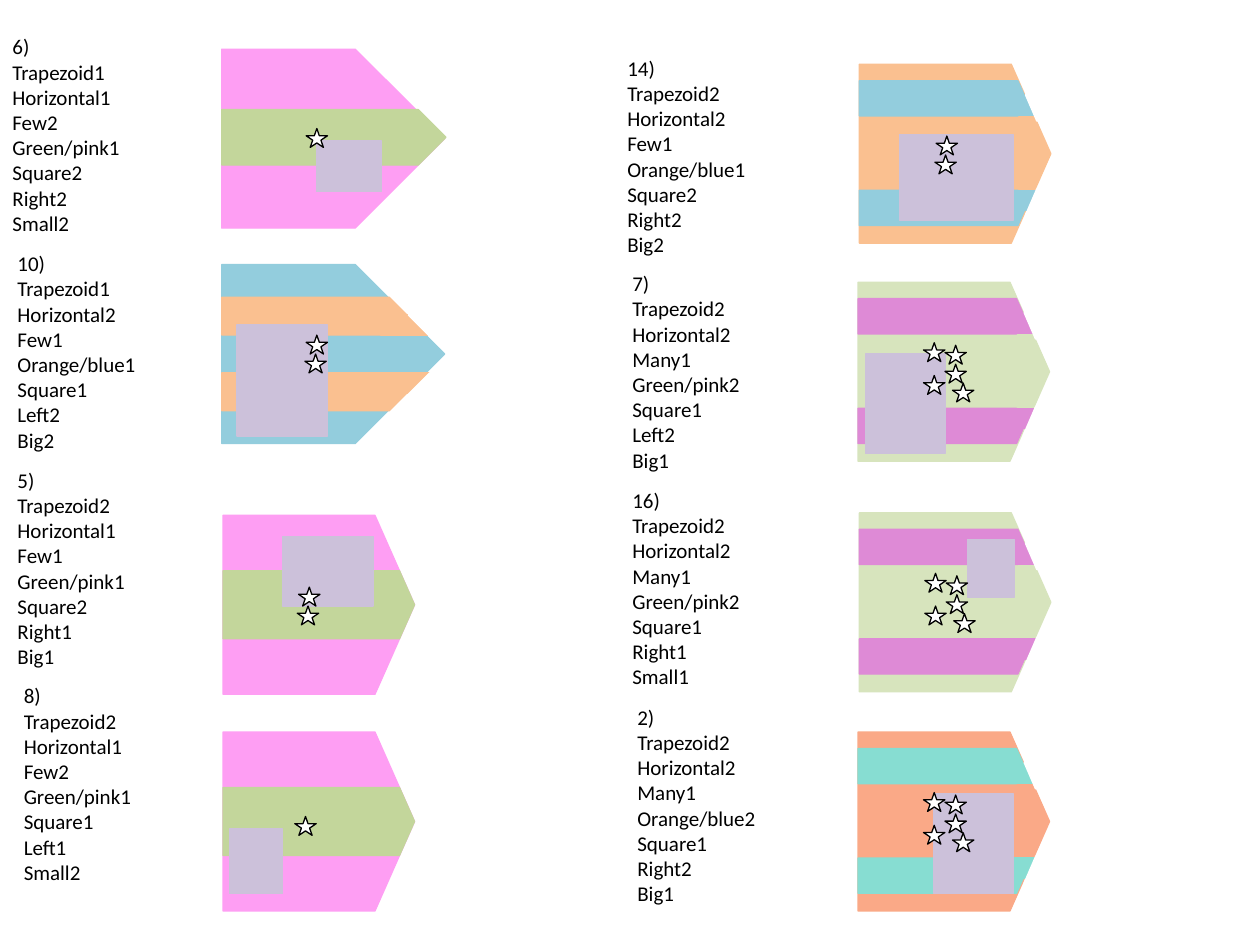
from pptx import Presentation
from pptx.dml.color import RGBColor
from pptx.enum.shapes import MSO_SHAPE
from pptx.util import Inches, Pt

PLATE = MSO_SHAPE.PENTAGON
RECT = MSO_SHAPE.RECTANGLE
STAR = MSO_SHAPE.STAR_5_POINT
WHITE, BLACK, LILAC = "FFFFFF", "000000", "CCC1DA"
PINK, GREEN, BLUE, ORANGE = "FE9EF3", "C3D69B", "93CDDD", "FAC090"
PALE_GREEN, ORCHID, SALMON, TEAL = "D7E4BD", "DE8AD6", "FAA987", "87DDD2"

FLAG_HEIGHT = 1.42
LONG = {"width": 1.77, "tip": 0.5}
SHORT = {"width": 1.52, "tip": 0.221}
LONG_STRIPES = [
    ((0, 0.86, 1.48, 0.3), (1.31, 0.86, 0.36, 0.16), (1.4, 0.86, 0.51, 0.5)),
    ((0, 0.26, 1.48, 0.3), (1.26, 0.4, 0.42, 0.16), (1.48, 0.15, 0.51, 0.5)),
]
SHORT_STRIPES = [
    ((0, 0.13, 1.32, 0.28), (1.22, 0.25, 0.19, 0.16), (1.32, 0.04, 0.4, 0.41)),
    ((0, 1.0, 1.32, 0.28), (1.23, 1.0, 0.19, 0.16), (1.32, 0.99, 0.4, 0.41)),
]
LONG_MIDDLE = (0, 0.48, 1.78, 0.44)
SHORT_MIDDLE = (0, 0.44, 1.52, 0.54)
STAR_CLUSTERS = {
    1: [(0, 0)],
    2: [(0, 0.15), (0.01, 0)],
    5: [(0, 0), (0.17, 0.17), (0.17, 0.02), (0, 0.26), (0.23, 0.32)],
}


def color(hex_value):
    """Turn a hex string into a colour."""
    return RGBColor.from_string(hex_value)


def draw(shapes, kind, origin, box, fill, line=None, tip=None, flip=False):
    """Draw one filled preset shape in a box relative to an origin."""
    left, top, width, height = box
    shape = shapes.add_shape(kind, Inches(origin[0] + left), Inches(origin[1] + top),
                             Inches(width), Inches(height))
    shape.shadow.inherit = False
    shape.fill.solid()
    shape.fill.fore_color.rgb = color(fill)
    shape.line.color.rgb = color(line or fill)
    shape.line.width = Pt(0.75)
    if tip is not None:
        shape.adjustments[0] = tip
    if flip:
        shape._element.spPr.xfrm.set("flipH", "1")


def add_caption(slide, left, top, lines):
    """Write the numbered list of features beside a flag."""
    caption = slide.shapes.add_textbox(Inches(left), Inches(top), Inches(1.21), Inches(1.72))
    frame = caption.text_frame
    frame.word_wrap = True
    for index, line in enumerate(lines):
        paragraph = frame.paragraphs[0] if index == 0 else frame.add_paragraph()
        run = paragraph.add_run()
        run.text = line
        run.font.name = "Calibri"
        run.font.size = Pt(12)
        run.font.color.rgb = color(BLACK)


def add_stars(slide, origin, start, count):
    """Place a cluster of stars, grouped when there are several."""
    shapes = slide.shapes if count == 1 else slide.shapes.add_group_shape().shapes
    for dx, dy in STAR_CLUSTERS[count]:
        draw(shapes, STAR, origin, (start[0] + dx, start[1] + dy, 0.17, 0.15), WHITE, BLACK)


def add_flag(slide, origin, form, ground, band, square, stars, middle=None, stripes=()):
    """Draw a pointed flag with its bands, square and stars."""
    tip = form["tip"]
    draw(slide.shapes, PLATE, origin, (0, 0, form["width"], FLAG_HEIGHT), ground, tip=tip)
    if middle:
        draw(slide.shapes, PLATE, origin, middle, band, tip=tip)
    for stripe, extension, cut in stripes:
        draw(slide.shapes, PLATE, origin, stripe, band, tip=tip)
        draw(slide.shapes, RECT, origin, extension, band)
        draw(slide.shapes, PLATE, origin, cut, WHITE, tip=tip, flip=True)
    draw(slide.shapes, RECT, origin, square, LILAC)
    add_stars(slide, origin, *stars)


CAPTIONS = [
    (0, 0.22, ["6)", "Trapezoid1 Horizontal1 Few2", "Green/pink1 Square2 Right2", "Small2"]),
    (0.04, 1.94, ["10)", "Trapezoid1 Horizontal2 Few1", "Orange/blue1 Square1", "Left2", "Big2"]),
    (0.04, 3.66, ["5)", "Trapezoid2 Horizontal1 Few1", "Green/pink1 Square2 Right1", "Big1"]),
    (0.09, 5.37, ["8)", "Trapezoid2 Horizontal1 Few2", "Green/pink1 Square1", "Left1", "Small2"]),
    (4.88, 0.39, ["14)", "Trapezoid2 Horizontal2 Few1", "Orange/blue1 Square2 Right2", "Big2"]),
    (4.92, 2.1, ["7)", "Trapezoid2 Horizontal2 Many1", "Green/pink2 Square1", "Left2", "Big1"]),
    (4.92, 3.82, ["16)", "Trapezoid2 Horizontal2 Many1", "Green/pink2 Square1 Right1", "Small1"]),
    (4.96, 5.54, ["2)", "Trapezoid2 Horizontal2 Many1 Orange/blue2 Square1 Right2", "Big1"]),
]
BANDED_FLAGS = [
    ((1.76, 0.39), LONG, LONG_MIDDLE, (0.75, 0.73, 0.52, 0.4), ((0.67, 0.63), 1)),
    ((1.77, 4.09), SHORT, SHORT_MIDDLE, (0.47, 0.17, 0.72, 0.55), ((0.59, 0.57), 2)),
    ((1.77, 5.81), SHORT, SHORT_MIDDLE, (0.05, 0.77, 0.42, 0.51), ((0.57, 0.67), 1)),
]
STRIPED_FLAGS = [
    ((1.76, 2.1), LONG, BLUE, ORANGE, LONG_STRIPES,
     (0.12, 0.48, 0.72, 0.88), ((0.66, 0.56), 2)),
    ((6.82, 0.51), SHORT, ORANGE, BLUE, SHORT_STRIPES,
     (0.32, 0.56, 0.9, 0.68), ((0.6, 0.57), 2)),
    ((6.81, 2.24), SHORT, PALE_GREEN, ORCHID, SHORT_STRIPES,
     (0.06, 0.57, 0.63, 0.79), ((0.52, 0.48), 5)),
    ((6.82, 4.07), SHORT, PALE_GREEN, ORCHID, SHORT_STRIPES,
     (0.86, 0.21, 0.37, 0.46), ((0.52, 0.48), 5)),
    ((6.81, 5.81), SHORT, SALMON, TEAL, SHORT_STRIPES,
     (0.6, 0.49, 0.63, 0.79), ((0.52, 0.48), 5)),
]


def build():
    """Build the slide of captioned flags and save it."""
    deck = Presentation()
    deck.slide_width, deck.slide_height = Inches(10), Inches(7.5)
    slide = deck.slides.add_slide(deck.slide_layouts[6])
    for left, top, lines in CAPTIONS:
        add_caption(slide, left, top, lines)
    for origin, form, middle, square, stars in BANDED_FLAGS:
        add_flag(slide, origin, form, PINK, GREEN, square, stars, middle=middle)
    for origin, form, ground, band, stripes, square, stars in STRIPED_FLAGS:
        add_flag(slide, origin, form, ground, band, square, stars, stripes=stripes)
    deck.save("out.pptx")


build()
